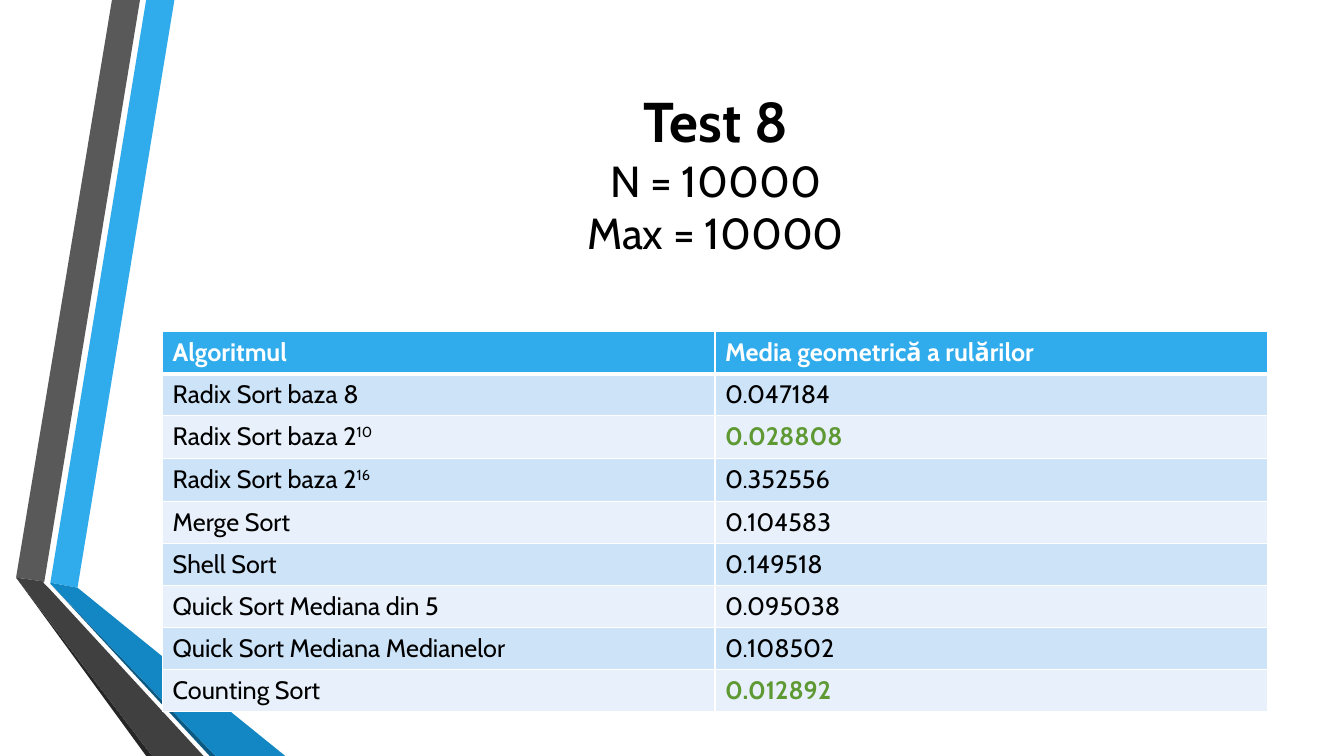
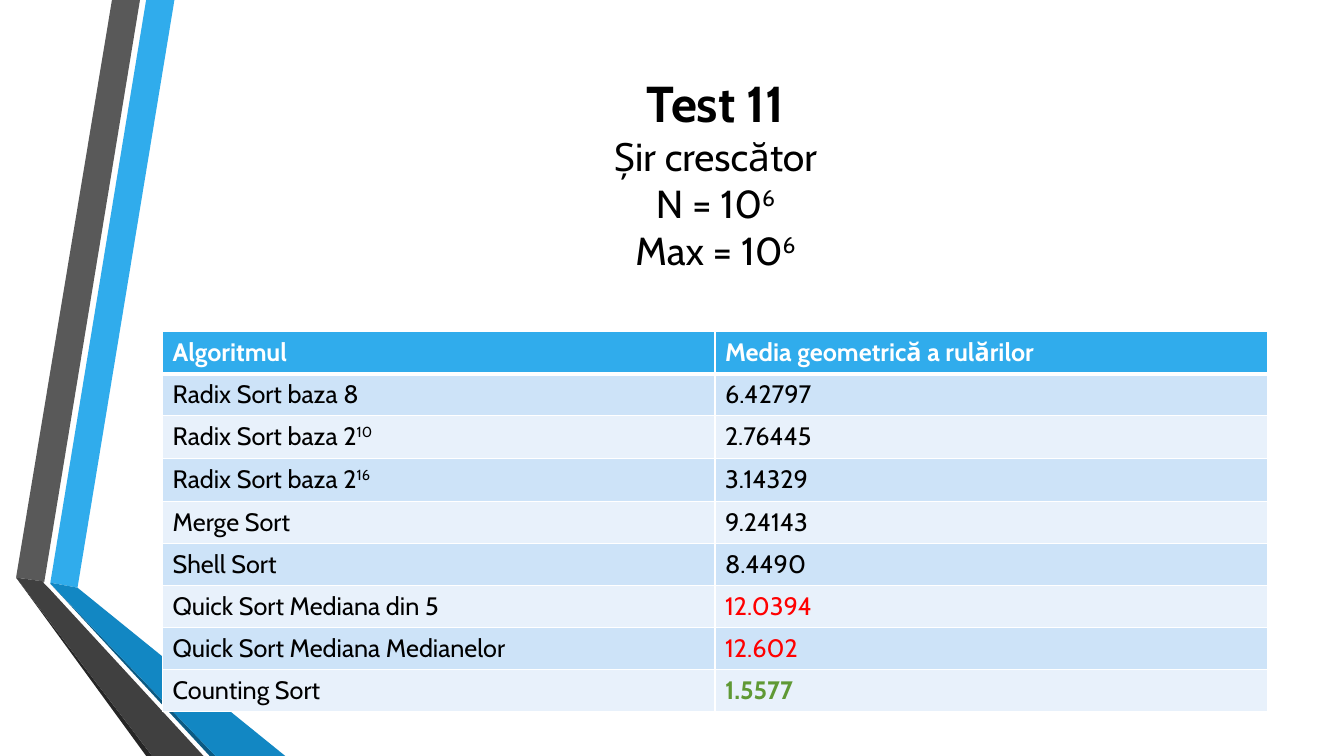
from copy import deepcopy
from dataclasses import dataclass
from typing import NamedTuple

from pptx import Presentation
from pptx.dml.color import RGBColor as RGB
from pptx.enum.text import MSO_ANCHOR, MSO_AUTO_SIZE, PP_ALIGN
from pptx.oxml import parse_xml
from pptx.oxml.ns import nsdecls
from pptx.util import Pt


@dataclass(frozen=True)
class Theme:
    font: str = "Cabin"
    table_size: float = 18
    black: str = "000000"
    white: str = "FFFFFF"
    blue: str = "30ACEC"
    mid_blue: str = "1287C3"
    dark_blue: str = "0C5A82"
    grey: str = "595959"
    dark_grey: str = "404040"
    charcoal: str = "262626"
    stripes: tuple[str, str] = ("CDE3F8", "E8F1FB")
    best: str = "5F9934"
    worst: str = "FF0000"


THEME = Theme()


class Band(NamedTuple):
    color: str
    points: list[tuple[float, float]]


class Result(NamedTuple):
    value: str
    color: str = THEME.black
    bold: bool = False


@dataclass(frozen=True)
class TestSlide:
    heading: str
    heading_size: float
    details: list[str]
    detail_size: float
    results: list[Result]


# Folded ribbons at the left edge, from back to front
BANDS = [
    Band(THEME.blue, [(36, 416.2), (55.4, 419.8), (124.6, 0), (104.4, 0)]),
    Band(THEME.grey, [(100, 0), (80, 0), (11.5, 412.6), (31.7, 415.4)]),
    Band(THEME.charcoal, [(11.5, 412.6), (104.4, 540), (108.7, 540)]),
    Band(THEME.dark_blue, [(36, 416.9), (149.8, 540), (154, 540)]),
    Band(THEME.mid_blue, [(36, 416.9), (154, 540), (203.8, 540), (55.4, 419.8), (36, 416.2)]),
    Band(THEME.dark_grey, [(145.4, 540), (34.6, 419.8), (31, 416.2), (31.7, 415.4),
                           (11.5, 412.6), (108.7, 540)]),
]

# "^" marks the start of an exponent
HEADERS = ["Algoritmul", "Media geometrică a rulărilor"]
ALGORITHMS = ["Radix Sort baza 8", "Radix Sort baza 2^10", "Radix Sort baza 2^16",
              "Merge Sort", "Shell Sort", "Quick Sort Mediana din 5",
              "Quick Sort Mediana Medianelor", "Counting Sort"]


def best(value: str) -> Result:
    return Result(value, THEME.best, True)


def worst(value: str) -> Result:
    return Result(value, THEME.worst)


TESTS = [
    TestSlide("Test 8", 40, ["N = 10000", "Max = 10000"], 31,
              [Result("0.047184"), best("0.028808"), Result("0.352556"),
               Result("0.104583"), Result("0.149518"), Result("0.095038"),
               Result("0.108502"), best("0.012892")]),
    TestSlide("Test 11", 36, ["Șir crescător", "N = 10^6", "Max = 10^6"], 27.9,
              [Result("6.42797"), Result("2.76445"), Result("3.14329"),
               Result("9.24143"), Result("8.4490"), worst("12.0394"),
               worst("12.602"), best("1.5577")]),
]


def add_text(p, text: str, *, size: float, color: str = THEME.black, bold: bool = False):
    """Add text with an optional exponent and return its base run."""
    base, _, exponent = text.partition("^")
    runs = []
    for part in filter(None, (base, exponent)):
        r = p.add_run()
        r.text = part
        r.font.name, r.font.size, r.font.bold = THEME.font, Pt(size), bold
        r.font.color.rgb = RGB.from_string(color)
        runs.append(r)
    if exponent:
        runs[-1]._r.get_or_add_rPr().set("baseline", "30000")
    return runs[0]


def add_break(p, r) -> None:
    """Break the line at the text size of the given run."""
    p.add_line_break()
    p._p[-1].append(deepcopy(r._r.rPr))


def add_bands(s, layout) -> None:
    """Build the ribbons and place them on the layout, behind its title."""
    for ph in list(layout.placeholders)[1:]:
        ph.element.getparent().remove(ph.element)
    shapes = []
    for band in BANDS:
        points = [(Pt(x), Pt(y)) for x, y in band.points]
        builder = s.shapes.build_freeform(*points[0])
        builder.add_line_segments(points[1:], close=True)
        sp = builder.convert_to_shape()
        sp.shadow.inherit = False
        sp.fill.solid()
        sp.fill.fore_color.rgb = RGB.from_string(band.color)
        sp.line.fill.background()
        shapes.append(sp)
    for i, sp in enumerate(shapes):
        layout.shapes.element.insert(2 + i, sp.element)


def add_title(s, test: TestSlide) -> None:
    sp = s.shapes.title
    sp.left, sp.top, sp.width, sp.height = Pt(116.6), Pt(54), Pt(789), Pt(138.2)
    tf = sp.text_frame
    tf.word_wrap, tf.auto_size = True, MSO_AUTO_SIZE.NONE
    tf.vertical_anchor = MSO_ANCHOR.MIDDLE
    p = tf.paragraphs[0]
    p.alignment = PP_ALIGN.CENTER
    r = add_text(p, test.heading, size=test.heading_size, bold=True)
    for detail in test.details:
        add_break(p, r)
        r = add_text(p, detail, size=test.detail_size)


def set_borders(cell, *, top: float = 1, bottom: float = 1) -> None:
    tc_pr = cell._tc.get_or_add_tcPr()
    for side, width in (("L", 1), ("R", 1), ("T", top), ("B", bottom)):
        tc_pr.append(parse_xml(
            f'<a:ln{side} {nsdecls("a")} w="{Pt(width)}"><a:solidFill>'
            f'<a:srgbClr val="{THEME.white}"/></a:solidFill></a:ln{side}>'))


def fill_cell(cell, text: str, *, fill: str, color: str = THEME.black, bold: bool = False,
              top: float = 1, bottom: float = 1) -> None:
    set_borders(cell, top=top, bottom=bottom)
    cell.fill.solid()
    cell.fill.fore_color.rgb = RGB.from_string(fill)
    add_text(cell.text_frame.paragraphs[0], text, size=THEME.table_size,
             color=color, bold=bold)


def add_results(s, test: TestSlide) -> None:
    table = s.shapes.add_table(len(ALGORITHMS) + 1, len(HEADERS), Pt(116.2), Pt(237),
                               Pt(789), Pt(271.4)).table
    table.horz_banding = False
    for col in table.columns:
        col.width = Pt(394.5)
    table.rows[0].height = Pt(30)
    for i, header in enumerate(HEADERS):
        fill_cell(table.cell(0, i), header, fill=THEME.blue, color=THEME.white,
                  bold=True, bottom=3)
    for i, (name, result) in enumerate(zip(ALGORITHMS, test.results), start=1):
        table.rows[i].height = Pt(30.7 if "^" in name else 30)
        fill = THEME.stripes[(i - 1) % 2]
        top = 3 if i == 1 else 1
        fill_cell(table.cell(i, 0), name, fill=fill, top=top)
        fill_cell(table.cell(i, 1), result.value, fill=fill, top=top,
                  color=result.color, bold=result.bold)


def main() -> None:
    prs = Presentation()
    prs.slide_width, prs.slide_height = Pt(960), Pt(540)
    layout = prs.slide_layouts[5]
    for i, test in enumerate(TESTS):
        s = prs.slides.add_slide(layout)
        if i == 0:
            add_bands(s, layout)
        add_title(s, test)
        add_results(s, test)
    prs.save("out.pptx")


if __name__ == "__main__":
    main()
